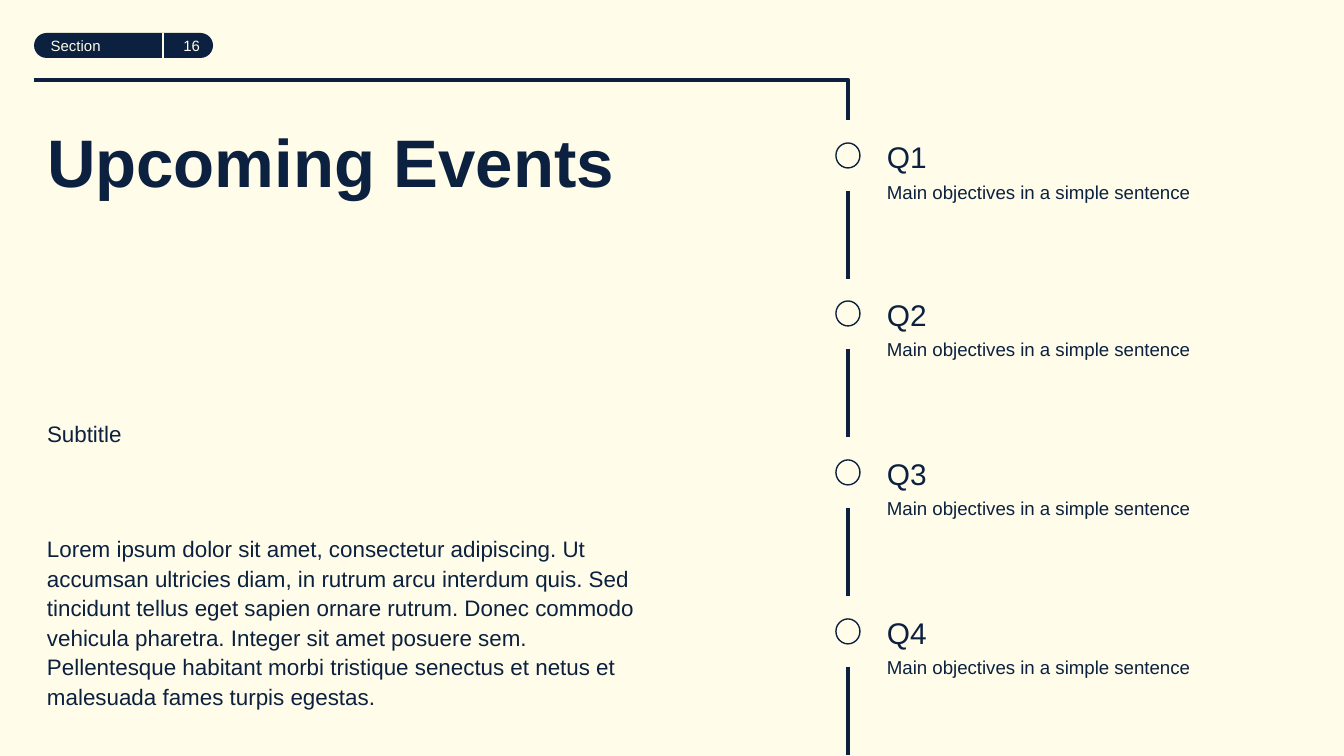
"""Build the Upcoming Events slide with a quarterly timeline."""
from lxml.etree import SubElement
from pptx import Presentation
from pptx.dml.color import RGBColor
from pptx.enum.shapes import MSO_CONNECTOR, MSO_SHAPE as SHAPE
from pptx.enum.text import MSO_ANCHOR as ANCHOR, PP_ALIGN as ALIGN
from pptx.oxml.ns import qn
from pptx.util import Pt

COLORS = {"navy": "0B213F", "cream": "FFFCE9"}
FONT = "Arial"
TITLE = "Upcoming Events"
SUBTITLE = "Subtitle"
SECTION, NUMBER = "Section", "16"
BODY = (
    "Lorem ipsum dolor sit amet, consectetur adipiscing. Ut accumsan ultricies diam, "
    "in rutrum arcu interdum quis. Sed tincidunt tellus eget sapien ornare rutrum. "
    "Donec commodo vehicula pharetra. Integer sit amet posuere sem. Pellentesque "
    "habitant morbi tristique senectus et netus et malesuada fames turpis egestas."
)
QUARTERS = [
    ("Q1", "Main objectives in a simple sentence"),
    ("Q2", "Main objectives in a simple sentence"),
    ("Q3", "Main objectives in a simple sentence"),
    ("Q4", "Main objectives in a simple sentence"),
]

WIDTH, HEIGHT = 1344, 756
INSET = 13
LEFT = 34
RULE_TOP = 80
PILL_TOP, PILL_WIDTH, PILL_HEIGHT = 33, 179, 25
DIVIDER = 163
AXIS = 848
FIRST_TOP, LAST_TOP = 144, 620
MARK_WIDTH, MARK_HEIGHT = 24, 25
LABEL_LEFT = 874


def px(value):
    return round(value * 914400 / 134.4)


def rgb(name):
    return RGBColor.from_string(COLORS[name])


def write(shape, text, size, color="navy", anchor=ANCHOR.MIDDLE,
          align=ALIGN.LEFT, spacing=1.0, bold=False):
    frame = shape.text_frame
    frame.word_wrap = True
    frame.vertical_anchor = anchor
    frame.margin_left = frame.margin_right = px(INSET)
    frame.margin_top = frame.margin_bottom = px(INSET)
    frame.text = text
    paragraph = frame.paragraphs[0]
    paragraph.alignment = align
    paragraph.line_spacing = spacing
    font = paragraph.font
    font.name, font.size, font.bold = FONT, Pt(size), bold
    font.color.rgb = rgb(color)


def add_text(slide, box, text, size, **style):
    write(slide.shapes.add_textbox(*map(px, box)), text, size, **style)


def outline(shape, weight):
    shape.shadow.inherit = False
    shape.fill.background()
    shape.line.color.rgb = rgb("navy")
    shape.line.width = Pt(weight)


def add_vertical(slide, x, top, bottom, color, weight):
    line = slide.shapes.add_connector(
        MSO_CONNECTOR.STRAIGHT, px(x), px(top), px(x), px(bottom))
    line.line.color.rgb = rgb(color)
    line.line.width = Pt(weight)
    SubElement(line._element.spPr, qn("a:effectLst"))


def add_header(slide):
    pill = slide.shapes.add_shape(
        SHAPE.ROUNDED_RECTANGLE, *map(px, (LEFT, PILL_TOP, PILL_WIDTH, PILL_HEIGHT)))
    pill.adjustments[0] = 0.5
    pill.shadow.inherit = False
    pill.fill.solid()
    pill.fill.fore_color.rgb = rgb("navy")
    pill.line.fill.background()
    write(pill, SECTION, 8, color="cream")
    add_text(slide, (DIVIDER, PILL_TOP, LEFT + PILL_WIDTH - DIVIDER, PILL_HEIGHT),
             NUMBER, 8, color="cream", align=ALIGN.RIGHT)
    add_vertical(slide, DIVIDER, PILL_TOP, PILL_TOP + PILL_HEIGHT, "cream", 0.75)
    builder = slide.shapes.build_freeform(px(LEFT), px(RULE_TOP))
    builder.add_line_segments(
        [(px(AXIS), px(RULE_TOP)), (px(AXIS), px(RULE_TOP + 40))], close=False)
    outline(builder.convert_to_shape(), 2.25)


def add_timeline(slide):
    for index, (quarter, objective) in enumerate(QUARTERS):
        top = FIRST_TOP + (LAST_TOP - FIRST_TOP) * index // (len(QUARTERS) - 1)
        mark = slide.shapes.add_shape(
            SHAPE.OVAL, *map(px, (AXIS - MARK_WIDTH / 2, top - 1, MARK_WIDTH, MARK_HEIGHT)))
        outline(mark, 0.75)
        add_vertical(slide, AXIS, top + 47, min(top + 135, HEIGHT), "navy", 2.25)
        add_text(slide, (LABEL_LEFT, top, 441, 25), quarter, 16)
        add_text(slide, (LABEL_LEFT, top + 34, 414, 25), objective, 10, spacing=1.1)


def main():
    deck = Presentation()
    deck.slide_width, deck.slide_height = px(WIDTH), px(HEIGHT)
    slide = deck.slides.add_slide(deck.slide_layouts[5])
    slide.background.fill.solid()
    slide.background.fill.fore_color.rgb = rgb("cream")
    title = slide.shapes.title
    title.left, title.top, title.width, title.height = map(px, (LEFT, 102, 648, 118))
    write(title, TITLE, 36, bold=True)
    add_text(slide, (LEFT, 403, 526, 82), SUBTITLE, 12, anchor=ANCHOR.TOP, spacing=1.15)
    add_text(slide, (LEFT, 508, 630, 215), BODY, 12, anchor=ANCHOR.BOTTOM, spacing=1.1)
    add_header(slide)
    add_timeline(slide)
    deck.save("out.pptx")


if __name__ == "__main__":
    main()
